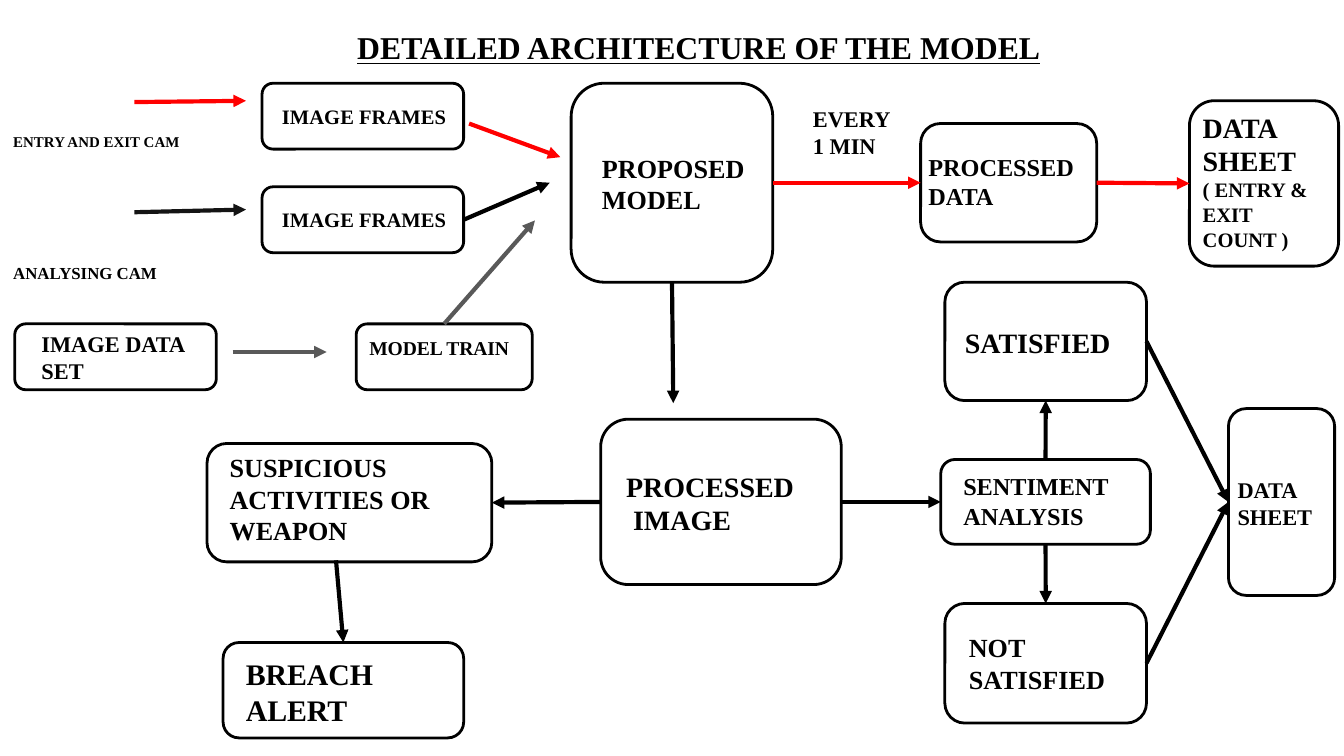
import itertools

import lxml.etree
import pptx
import pptx.dml.color
import pptx.enum.shapes
import pptx.enum.text
import pptx.oxml.ns
import pptx.util

Pt = pptx.util.Pt
BLACK, RED, GREY, CHARCOAL = "000000", "FF0000", "595959", "141414"
TOP, LEFT, BOTTOM, RIGHT = range(4)


def paint(colour_format, colour):
    colour_format.rgb = pptx.dml.color.RGBColor.from_string(colour)


def add_child(parent, tag, **attributes):
    return lxml.etree.SubElement(parent, pptx.oxml.ns.qn(tag), attributes)


def add_label(slide, origin, box, text, *sizes, grow=True):
    """Bold text in a box offset from origin; sizes go to the paragraphs in turn."""
    left, top, width, height = box
    label = slide.shapes.add_textbox(
        Pt(origin[0] + left), Pt(origin[1] + top), Pt(width), Pt(height))
    frame = label.text_frame
    frame.text = text
    frame.word_wrap = True
    frame.margin_left = frame.margin_right = Pt(7.2)
    frame.margin_top = frame.margin_bottom = Pt(7.2)
    if grow:
        frame.auto_size = pptx.enum.text.MSO_AUTO_SIZE.SHAPE_TO_FIT_TEXT
    for paragraph, size in zip(frame.paragraphs, itertools.cycle(sizes)):
        for run in paragraph.runs:
            run.font.name = "Times New Roman"
            run.font.size = Pt(size)
            run.font.bold = True
            paint(run.font.color, BLACK)
    return label


def add_step(slide, origin, box):
    left, top, width, height = box
    step = slide.shapes.add_shape(
        pptx.enum.shapes.MSO_SHAPE.FLOWCHART_ALTERNATE_PROCESS,
        Pt(origin[0] + left), Pt(origin[1] + top), Pt(width), Pt(height))
    step.shadow.inherit = False
    step.fill.background()
    paint(step.line.color, BLACK)
    step.line.width = Pt(1.5)
    return step


def add_arrow(slide, origin, start, end, colour=BLACK):
    """Each end is an (x, y) offset from origin or a (step, side) to join."""
    def is_joined(point):
        return hasattr(point[0], "shape_id")

    (x1, y1), (x2, y2) = [
        (0, 0) if is_joined(point) else (origin[0] + point[0], origin[1] + point[1])
        for point in (start, end)]
    arrow = slide.shapes.add_connector(
        pptx.enum.shapes.MSO_CONNECTOR.STRAIGHT, Pt(x1), Pt(y1), Pt(x2), Pt(y2))
    if is_joined(start):
        arrow.begin_connect(*start)
    if is_joined(end):
        arrow.end_connect(*end)
    paint(arrow.line.color, colour)
    arrow.line.width = Pt(2.25)
    add_child(arrow.line._get_or_add_ln(), "a:tailEnd", type="triangle")
    add_child(arrow._element.spPr, "a:effectLst")


def draw_title(slide, box):
    title = add_label(slide, (0, 0), box, "DETAILED ARCHITECTURE OF THE MODEL", 17)
    paragraph = title.text_frame.paragraphs[0]
    paragraph.alignment = pptx.enum.text.PP_ALIGN.CENTER
    paragraph.runs[0].font.underline = True


def draw_cameras(slide, origin):
    add_label(slide, origin, (0, 21.6, 112.3, 24.5), "ENTRY AND EXIT CAM", 8)
    add_label(slide, origin, (0, 90.8, 100.8, 25.2), "ANALYSING CAM", 9)
    frames = []
    for row, feed_colour in enumerate((RED, CHARCOAL)):
        top = row * 55.5
        frames.append(add_step(slide, origin, (140.4, top, 108, 35.3)))
        add_label(slide, origin, (144, top + 4.4, 122, 28.1), "IMAGE FRAMES", 11)
        add_arrow(slide, origin, (72, 10.1 + row * 59), (131.8, 9.4 + row * 58.3),
                  feed_colour)
    add_arrow(slide, origin, (251.3, 21.6), (300.2, 39.6), RED)
    add_arrow(slide, origin, (frames[1], RIGHT), (294.5, 53.3))


def draw_training(slide, origin):
    add_step(slide, origin, (0, 0, 108, 35.3))
    add_label(slide, origin, (7.2, -3.6, 94.3, 43.9), "IMAGE DATA SET", 12)
    training = add_step(slide, origin, (182.9, 0, 94.3, 35.3))
    add_label(slide, origin, (182.9, 0, 94.3, 31.7), "MODEL TRAIN", 10.5, grow=False)
    add_arrow(slide, origin, (116.7, 15.1), (167.1, 15.1), GREY)
    add_arrow(slide, origin, (training, TOP), (278.7, -55.4), GREY)


def draw_counting(slide, origin):
    model = add_step(slide, origin, (0, 0, 108, 106.6))
    add_label(slide, origin, (9.4, 29.6, 108, 48.2), "PROPOSED MODEL", 14)
    add_label(slide, origin, (122.4, 4.4, 56.2, 43.9), "EVERY 1 MIN", 12)
    processed = add_step(slide, origin, (187.2, 21.6, 94.3, 63.4))
    add_label(slide, origin, (184.3, 29.6, 94.3, 46.1), "PROCESSED DATA", 13)
    sheet = add_step(slide, origin, (331.2, 9.4, 79.9, 88.6))
    add_label(slide, origin, (331.2, 7.2, 79.9, 90.7),
              "DATA SHEET\n( ENTRY & EXIT COUNT )", 15, 11)
    add_arrow(slide, origin, (model, RIGHT), (processed, LEFT), RED)
    add_arrow(slide, origin, (processed, RIGHT), (sheet, LEFT), RED)
    add_arrow(slide, origin, (model, BOTTOM), (54.7, 171.4))


def draw_breach_detection(slide, origin):
    """Places the image step and the breach branch; returns the image step."""
    image = add_step(slide, origin, (210.9, 0, 128.9, 88.6))
    label = add_label(slide, origin, (217.4, 19.5, 115.9, 51.1), "PROCESSED IMAGE", 15)
    hanging = label.text_frame.paragraphs[0]._p.get_or_add_pPr()
    hanging.set("marL", str(Pt(3.75)))
    hanging.set("indent", str(Pt(-3.75)))
    activity = add_step(slide, origin, (0, 13, 152.6, 63.4))
    add_label(slide, origin, (5, 10.1, 128.9, 65.5),
              "SUSPICIOUS ACTIVITIES OR WEAPON", 14)
    breach = add_step(slide, origin, (8.6, 119.6, 128.9, 51.1))
    add_label(slide, origin, (13.7, 119.6, 115.9, 53.3), "BREACH ALERT", 16)
    add_arrow(slide, origin, (image, LEFT), (activity, RIGHT))
    add_arrow(slide, origin, (69.1, 75.6), (breach, TOP))
    return image


def draw_sentiment(slide, origin, image):
    satisfied = add_step(slide, origin, (2.2, 0, 108, 63.4))
    add_label(slide, origin, (5.8, 15.8, 100.8, 32.4), "SATISFIED", 15)
    sentiment = add_step(slide, origin, (0, 95, 112.3, 45.4))
    add_label(slide, origin, (5, 94.3, 100.8, 46.1), "SENTIMENT ANALYSIS", 13)
    unsatisfied = add_step(slide, origin, (2.2, 172.1, 108, 64.1))
    add_label(slide, origin, (7.9, 180, 94.3, 48.2), "NOT\nSATISFIED", 14)
    sheet = add_step(slide, origin, (154.1, 67.7, 56.9, 100.1))
    add_label(slide, origin, (151.9, 96.5, 60.5, 43.9), "DATA SHEET", 12)
    add_arrow(slide, origin, (image, RIGHT), (sentiment, LEFT))
    add_arrow(slide, origin, (sentiment, TOP), (satisfied, BOTTOM))
    add_arrow(slide, origin, (sentiment, BOTTOM), (unsatisfied, TOP))
    for outcome in (satisfied, unsatisfied):
        add_arrow(slide, origin, (outcome, RIGHT), (sheet, LEFT))


def main():
    deck = pptx.Presentation()
    deck.slide_width, deck.slide_height = Pt(720), Pt(405)
    slide = deck.slides.add_slide(deck.slide_layouts[6])
    draw_title(slide, (108.7, 7.9, 531.4, 35.3))
    draw_cameras(slide, (0, 44.6))
    draw_training(slide, (7.9, 173.5))
    draw_counting(slide, (306, 44.6))
    image = draw_breach_detection(slide, (110.9, 224.6))
    draw_sentiment(slide, (504, 151.2), image)
    deck.save("out.pptx")


if __name__ == "__main__":
    main()
